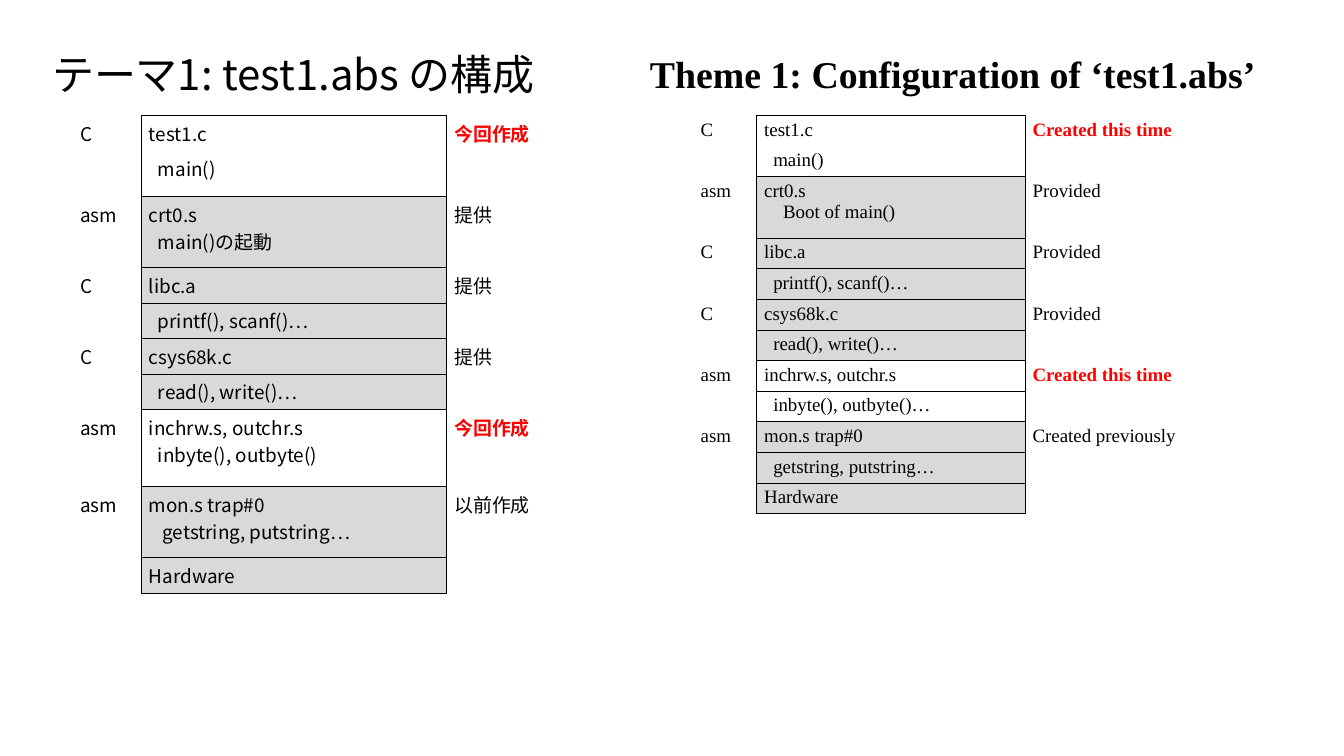
"""Build a slide that shows the layout of test1.abs in Japanese and English."""
from lxml.etree import SubElement
from pptx import Presentation
from pptx.dml.color import RGBColor
from pptx.enum.text import MSO_ANCHOR
from pptx.oxml.ns import qn
from pptx.util import Inches, Pt

BLACK = RGBColor(0, 0, 0)
RED = RGBColor(255, 0, 0)
GRAY = RGBColor(0xD9, 0xD9, 0xD9)
SANS = "Noto Sans CJK JP"
SERIF = "Times New Roman"


def style(para, font, size, color=BLACK, bold=False):
    for run in para.runs:
        run.font.name = font
        run.font.size = Pt(size)
        run.font.bold = bold
        run.font.color.rgb = color
        props = run.font._element
        SubElement(props, qn("a:ea"), typeface=font)


def border(cell, sides):
    props = cell._tc.get_or_add_tcPr()
    for side in "LRTB":
        line = SubElement(props, qn("a:ln" + side), w=str(Pt(1)))
        if side in sides:
            fill = SubElement(line, qn("a:solidFill"))
            SubElement(fill, qn("a:srgbClr"), val=str(BLACK))
        else:
            SubElement(line, qn("a:noFill"))


prs = Presentation()
prs.slide_width = Inches(17.78)
prs.slide_height = Inches(10)
slide = prs.slides.add_slide(prs.slide_layouts[6])

titles = [
    ("テーマ1: test1.abs の構成", 0.59, 7.25, SANS, 40, False),
    ("Theme 1: Configuration of ‘test1.abs’", 8.5, 8.69, SERIF, 36, True),
]
for text, left, width, font, size, bold in titles:
    box = slide.shapes.add_textbox(Inches(left), Inches(0.49), Inches(width), Inches(1.05))
    frame = box.text_frame
    frame.word_wrap = True
    frame.vertical_anchor = MSO_ANCHOR.MIDDLE
    para = frame.paragraphs[0]
    para.text = text
    para.line_spacing = 0.9
    style(para, font, size, BLACK, bold)

# language, file, content, indent, note, new, merged
japan = [
    ("C", "test1.c", "main()", 0.12, "今回作成", True, False),
    ("asm", "crt0.s", "main()の起動", 0.12, "提供", False, True),
    ("C", "libc.a", "printf(), scanf()…", 0.12, "提供", False, False),
    ("C", "csys68k.c", "read(), write()…", 0.12, "提供", False, False),
    ("asm", "inchrw.s, outchr.s", "inbyte(), outbyte()", 0.12, "今回作成", True, True),
    ("asm", "mon.s trap#0", "getstring, putstring…", 0.18, "以前作成", False, True),
]
english = [
    ("C", "test1.c", "main()", 0.12, "Created this time", True, False),
    ("asm", "crt0.s", "Boot of main()", 0.25, "Provided", False, True),
    ("C", "libc.a", "printf(), scanf()…", 0.12, "Provided", False, False),
    ("C", "csys68k.c", "read(), write()…", 0.12, "Provided", False, False),
    ("asm", "inchrw.s, outchr.s", "inbyte(), outbyte()…", 0.12, "Created this time", True, False),
    ("asm", "mon.s trap#0", "getstring, putstring…", 0.12, "Created previously", False, False),
]
tall = [0.47, 0.6] + [0.47] * 6 + [0.51] * 2 + [0.47] * 3
even = [5.27 / 13] * 13
tables = [
    (japan, 0.96, [0.91, 4.04, 1.57], tall, SANS),
    (english, 9.17, [0.84, 3.55, 2.78], even, SERIF),
]

for parts, left, widths, heights, font in tables:
    shape = slide.shapes.add_table(
        13, 3, Inches(left), Inches(1.53), Inches(sum(widths)), Inches(sum(heights)))
    table = shape.table
    table.first_row = False
    table.horz_banding = False
    for col, width in zip(table.columns, widths):
        col.width = Inches(width)
    for row, height in zip(table.rows, heights):
        row.height = Inches(height)

    for row in range(13):
        sides = {0: "LRT", 1: "LRB"}.get(row, "LRTB")
        for col, edges in enumerate(["R", sides, "L"]):
            cell = table.cell(row, col)
            border(cell, edges)
            cell.fill.background()

    for top, (lang, name, body, indent, note, new, merged) in zip(range(0, 12, 2), parts):
        head, low = table.cell(top, 1), table.cell(top + 1, 1)
        if not new:
            for cell in (head, low):
                cell.fill.solid()
                cell.fill.fore_color.rgb = GRAY
        first = head.text_frame.paragraphs[0]
        if merged:
            head.merge(low)
            last = head.text_frame.add_paragraph()
        else:
            last = low.text_frame.paragraphs[0]
        first.text = name
        last.text = body
        last._p.get_or_add_pPr().set("marL", str(Inches(indent)))
        kind = table.cell(top, 0).text_frame.paragraphs[0]
        kind.text = lang
        for para in (first, last, kind):
            style(para, font, 18)
        state = table.cell(top, 2).text_frame.paragraphs[0]
        state.text = note
        style(state, font, 18, RED if new else BLACK, new)

    base = table.cell(12, 1)
    base.fill.solid()
    base.fill.fore_color.rgb = GRAY
    base.text_frame.text = "Hardware"
    style(base.text_frame.paragraphs[0], font, 18)

prs.save("out.pptx")
